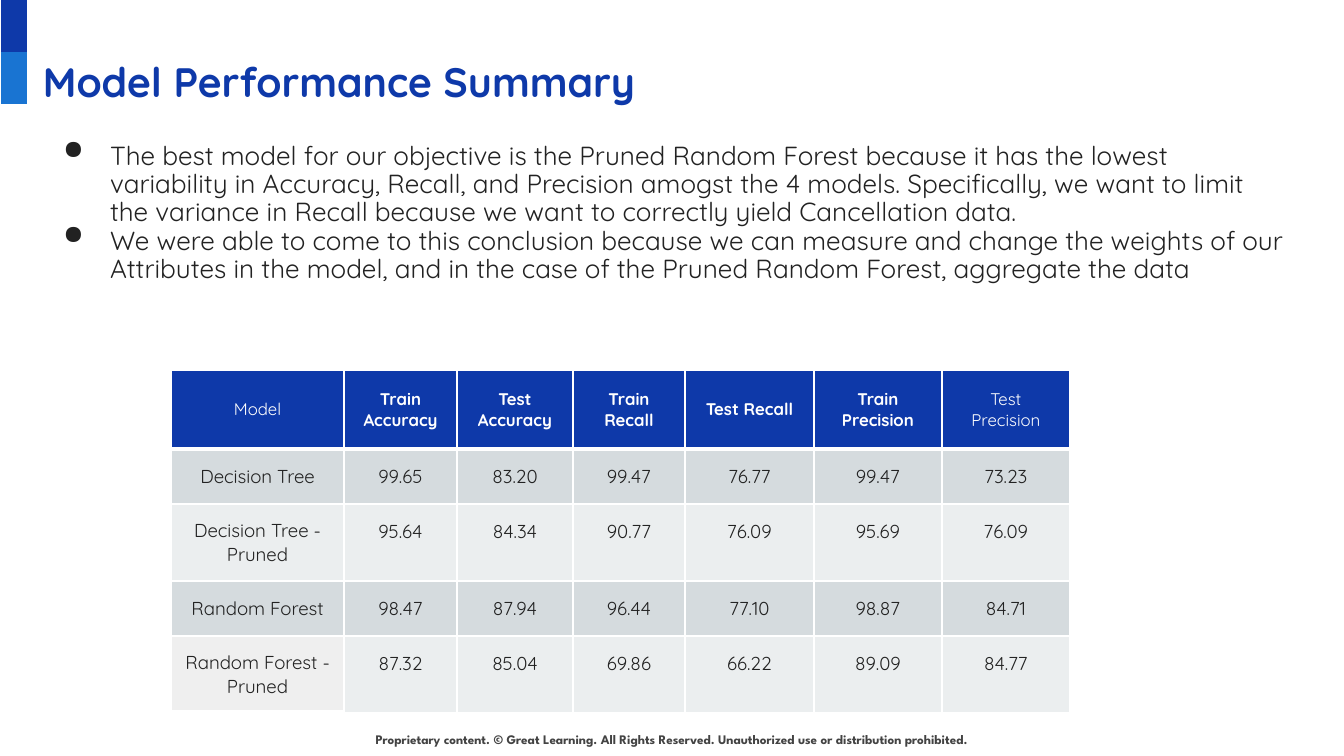
from lxml.etree import SubElement
from pptx import Presentation
from pptx.dml.color import RGBColor
from pptx.enum.shapes import MSO_SHAPE
from pptx.enum.text import MSO_ANCHOR, MSO_AUTO_SIZE, PP_ALIGN
from pptx.oxml.ns import qn
from pptx.util import Pt

SCALE = 914400 / 134.4
NAVY, BLUE, INK, GREY, WHITE = "0E39A9", "1974D2", "222222", "434343", "FFFFFF"
DARK_BAND, LIGHT_BAND, LAST_LABEL = "D5DBDE", "EBEEEF", "EFEFEF"

TITLE = "Model Performance Summary"
BULLETS = [
    "The best model for our objective is the Pruned Random Forest because it has the lowest "
    "variability in Accuracy, Recall, and Precision amogst the 4 models. Specifically, we want "
    "to limit the variance in Recall because we want to correctly yield Cancellation data.",
    "We were able to come to this conclusion because we can measure and change the weights of "
    "our Attributes in the model, and in the case of the Pruned Random Forest, aggregate the data",
]
FOOTER = ("Proprietary content. © Great Learning. All Rights Reserved. "
          "Unauthorized use or distribution prohibited.")
HEADERS = ["Model", "Train Accuracy", "Test Accuracy", "Train Recall", "Test Recall",
           "Train Precision", "Test Precision"]
LIGHT_HEADERS = {"Model", "Test Precision"}
SCORES = [
    ["Decision Tree", "99.65", "83.20", "99.47", "76.77", "99.47", "73.23"],
    ["Decision Tree - Pruned", "95.64", "84.34", "90.77", "76.09", "95.69", "76.09"],
    ["Random Forest", "98.47", "87.94", "96.44", "77.10", "98.87", "84.71"],
    ["Random Forest - Pruned", "87.32", "85.04", "69.86", "66.22", "89.09", "84.77"],
]
COLUMN_WIDTHS = [173, 113, 116, 112, 129, 128, 128]
ROW_HEIGHTS = [79, 55, 77, 55, 77]


def px(length):
    return round(length * SCALE)


def colour(value):
    return RGBColor.from_string(value)


def add_span(para, text, size, ink, bold=False, font="Quicksand"):
    span = para.add_run()
    span.text = text
    span.font.name = font
    span.font.size = Pt(size)
    span.font.bold = bold
    span.font.color.rgb = colour(ink)


def add_box(page, left, top, width, height):
    box = page.shapes.add_textbox(px(left), px(top), px(width), px(height))
    frame = box.text_frame
    frame.word_wrap = True
    frame.margin_left = frame.margin_right = frame.margin_top = frame.margin_bottom = px(13)
    return frame


def add_bullet(para):
    properties = para._p.get_or_add_pPr()
    properties.set("marL", str(px(67)))
    properties.set("indent", str(px(-47)))
    SubElement(SubElement(properties, qn("a:buClr")), qn("a:srgbClr"), val=INK)
    SubElement(properties, qn("a:buChar"), char="●")


def add_borders(cell, top, bottom):
    properties = cell._tc.get_or_add_tcPr()
    widths = {"a:lnL": 1, "a:lnR": 1, "a:lnT": top, "a:lnB": bottom}
    for index, (side, width) in enumerate(widths.items()):
        line = SubElement(properties, qn(side), w=str(Pt(width)))
        SubElement(SubElement(line, qn("a:solidFill")), qn("a:srgbClr"), val=WHITE)
        properties.insert(index, line)


def band(row, column):
    if row == 0:
        return NAVY
    if (row, column) == (len(SCORES), 0):
        return LAST_LABEL
    return DARK_BAND if row % 2 else LIGHT_BAND


def fill_cell(cell, row, column, text):
    is_value = row > 0 and column > 0
    cell.fill.solid()
    cell.fill.fore_color.rgb = colour(band(row, column))
    cell.margin_left = cell.margin_right = px(13)
    cell.margin_top = cell.margin_bottom = px(13 if is_value else 7)
    cell.vertical_anchor = MSO_ANCHOR.TOP if is_value else MSO_ANCHOR.MIDDLE
    heavy_bottom = row == 0 or (row, column) == (len(SCORES), 0)
    add_borders(cell, 3 if row == 1 else 1, 3 if heavy_bottom else 1)
    para = cell.text_frame.paragraphs[0]
    para.alignment = PP_ALIGN.CENTER
    if is_value:
        para.line_spacing = 1.15
    if row == 0:
        add_span(para, text, 9, WHITE, bold=text not in LIGHT_HEADERS)
    else:
        add_span(para, text, 10, INK)


def add_scores(page):
    rows = [HEADERS] + SCORES
    table = page.shapes.add_table(len(rows), len(HEADERS), px(171), px(370),
                                  px(sum(COLUMN_WIDTHS)), px(sum(ROW_HEIGHTS))).table
    table.first_row = table.horz_banding = False
    for column, width in zip(table.columns, COLUMN_WIDTHS):
        column.width = px(width)
    for row, height in zip(table.rows, ROW_HEIGHTS):
        row.height = px(height)
    for row, texts in enumerate(rows):
        for column, text in enumerate(texts):
            fill_cell(table.cell(row, column), row, column, text)


def main():
    deck = Presentation()
    deck.slide_width, deck.slide_height = px(1344), px(756)
    page = deck.slides.add_slide(deck.slide_layouts[6])

    footer = add_box(page, 328, 723, 687, 40).paragraphs[0]
    footer.alignment = PP_ALIGN.CENTER
    footer.line_spacing = 1.02
    add_span(footer, FOOTER, 7, GREY, bold=True, font="League Spartan")

    for index, fill in enumerate([NAVY, BLUE]):
        block = page.shapes.add_shape(MSO_SHAPE.RECTANGLE, px(1), px(52 * index), px(26), px(52))
        block.shadow.inherit = False
        block.fill.solid()
        block.fill.fore_color.rgb = colour(fill)
        block.line.fill.background()

    body = add_box(page, 30, 126, 1269, 183)
    body.auto_size = MSO_AUTO_SIZE.TEXT_TO_FIT_SHAPE
    for index, text in enumerate(BULLETS):
        para = body.add_paragraph() if index else body.paragraphs[0]
        add_bullet(para)
        para.font.size = Pt(14)
        add_span(para, text, 14, INK)

    add_scores(page)
    add_span(add_box(page, 30, 43, 1253, 85).paragraphs[0], TITLE, 22, NAVY, bold=True)
    deck.save("out.pptx")


if __name__ == "__main__":
    main()
